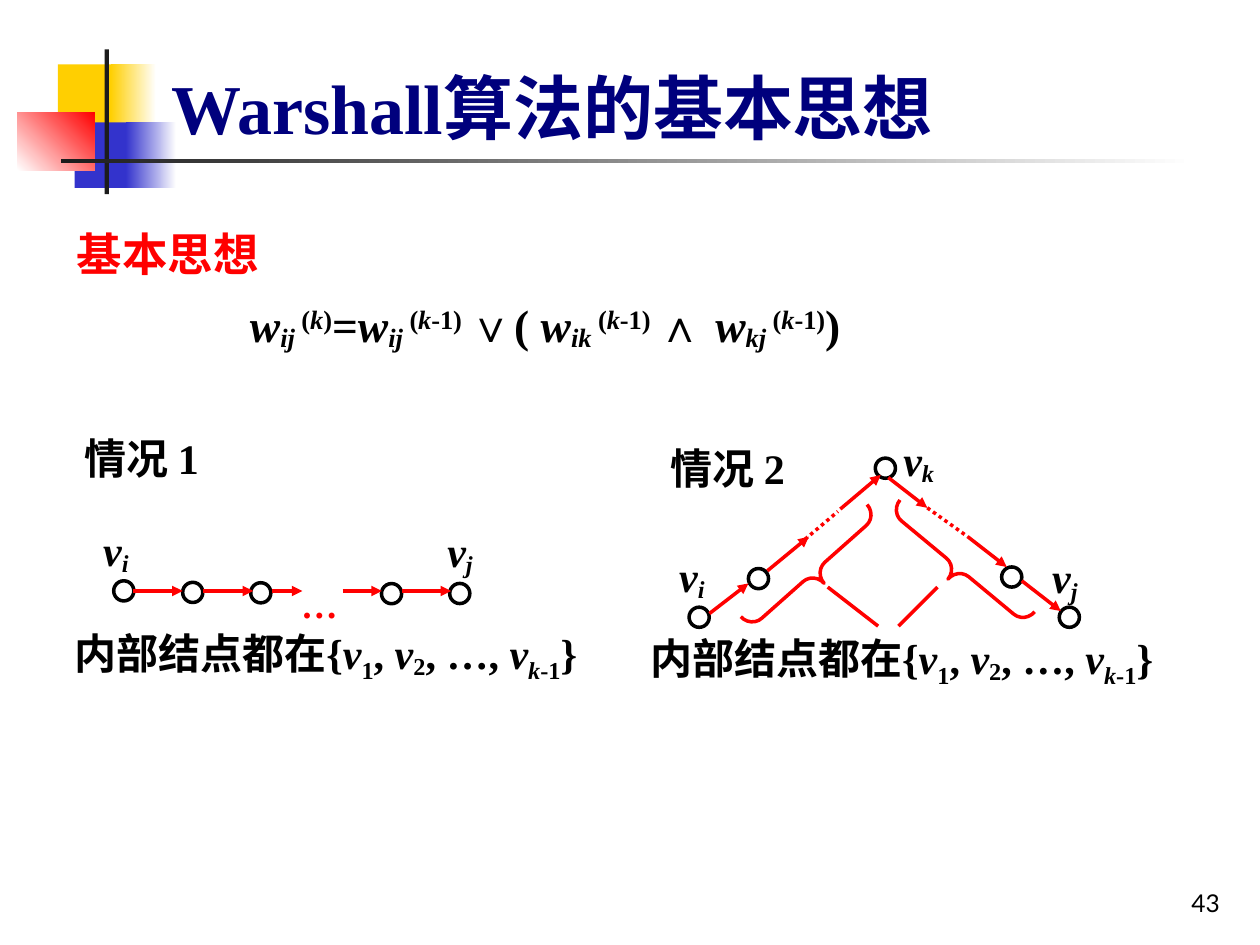
from dataclasses import dataclass
from typing import Optional

import pptx
import pptx.util
from lxml import etree
from pptx.dml.color import RGBColor
from pptx.enum.dml import MSO_LINE
from pptx.enum.shapes import MSO_CONNECTOR, MSO_SHAPE
from pptx.enum.text import MSO_ANCHOR, MSO_AUTO_SIZE, PP_ALIGN
from pptx.oxml.ns import qn

Pt = pptx.util.Pt
COLORS = {"black": "000000", "red": "FF0000", "navy": "00007D", "yellow": "FFCF01",
          "blue": "3333CC", "white": "FFFFFF", "dark": "1C1C1C"}
SERIF = "Times New Roman"


def rgb(name: str) -> RGBColor:
    return RGBColor.from_string(COLORS[name])


@dataclass
class Block:
    """A decorative rectangle; a second colour makes it a gradient."""
    left: float
    top: float
    width: float
    height: float
    color: str
    end_color: Optional[str] = None
    angle: float = 0


@dataclass
class Line:
    x1: float
    y1: float
    x2: float
    y2: float
    arrow: bool = True
    dotted: bool = False


@dataclass
class Piece:
    """A stretch of text with its own slant, baseline shift or font."""
    text: str
    italic: bool = False
    baseline: int = 0
    font: Optional[str] = None


@dataclass
class Label:
    left: float
    top: float
    width: float
    height: float
    pieces: list[Piece]
    size: float = 24
    color: str = "black"


def draw_block(slide, block: Block) -> None:
    shape = slide.shapes.add_shape(MSO_SHAPE.RECTANGLE, Pt(block.left), Pt(block.top),
                                   Pt(block.width), Pt(block.height))
    shape.shadow.inherit = False
    shape.line.fill.background()
    if block.end_color is None:
        shape.fill.solid()
        shape.fill.fore_color.rgb = rgb(block.color)
        return
    shape.fill.gradient()
    shape.fill.gradient_angle = block.angle
    for stop, color in zip(shape.fill.gradient_stops, (block.color, block.end_color)):
        stop.color.rgb = rgb(color)


def draw_outline(slide, kind, left: float, top: float, width: float, height: float,
                 color: str):
    shape = slide.shapes.add_shape(kind, Pt(left), Pt(top), Pt(width), Pt(height))
    shape.shadow.inherit = False
    shape.fill.background()
    shape.line.color.rgb = rgb(color)
    shape.line.width = Pt(2)
    return shape


def draw_line(slide, line: Line) -> None:
    connector = slide.shapes.add_connector(MSO_CONNECTOR.STRAIGHT, Pt(line.x1), Pt(line.y1),
                                           Pt(line.x2), Pt(line.y2))
    connector.line.color.rgb = rgb("red")
    connector.line.width = Pt(2)
    if line.dotted:
        connector.line.dash_style = MSO_LINE.ROUND_DOT
    if line.arrow:
        etree.SubElement(connector.line._get_or_add_ln(), qn("a:tailEnd"), type="triangle")
    etree.SubElement(connector._element.spPr, qn("a:effectLst"))


def set_font(paragraph, size: float, color: str, name: str = SERIF, bold: bool = True) -> None:
    paragraph.font.name = name
    paragraph.font.size = Pt(size)
    paragraph.font.bold = bold
    paragraph.font.color.rgb = rgb(color)


def add_pieces(paragraph, pieces: list[Piece]) -> None:
    for piece in pieces:
        run = paragraph.add_run()
        run.text = piece.text
        if piece.italic:
            run.font.italic = True
        if piece.font:
            run.font.name = piece.font
        if piece.baseline:
            run._r.get_or_add_rPr().set("baseline", str(piece.baseline * 1000))


def add_text_frame(slide, left: float, top: float, width: float, height: float):
    box = slide.shapes.add_textbox(Pt(left), Pt(top), Pt(width), Pt(height))
    box.text_frame.word_wrap = True
    return box.text_frame


def draw_label(slide, label: Label) -> None:
    frame = add_text_frame(slide, label.left, label.top, label.width, label.height)
    frame.margin_left, frame.margin_right = 0, Pt(18.7)
    set_font(frame.paragraphs[0], label.size, label.color)
    add_pieces(frame.paragraphs[0], label.pieces)


def vertex(index: str) -> list[Piece]:
    return [Piece("v", True), Piece(index, True, -15)]


def weight(index: str) -> list[Piece]:
    return [Piece("w", True), Piece(index + " ", True, -10), Piece("(", baseline=30),
            Piece("k", True, 30)]


PREVIOUS = Piece("-1) ", baseline=30)
FORMULA = [*weight("ij"), Piece(")", baseline=30), Piece("="),
           *weight("ij"), PREVIOUS, Piece("∨( "),
           *weight("ik"), PREVIOUS, Piece("∧ ", font="Arial"),
           *weight("kj"), Piece("-1)", baseline=30), Piece(")")]
INNER_NODES = [Piece("内部结点都在{"), Piece("v", True), Piece("1", baseline=-25), Piece(", "),
               Piece("v", True), Piece("2", baseline=-15), Piece(", …, "), Piece("v", True),
               Piece("k", True, -25), Piece("-1", baseline=-25), Piece("}")]

BLOCKS = [
    Block(33.1, 36.8, 34.5, 37.4, "yellow"),
    Block(63.2, 36.8, 26, 37.4, "yellow", "white"),
    Block(42.6, 70, 33, 37.4, "blue"),
    Block(72, 70, 28.8, 37.4, "blue", "white"),
    Block(10, 64, 44, 33.2, "white", "red", 45),
    Block(59.8, 28.2, 2.4, 82.8, "dark"),
    Block(34.6, 90.7, 648, 2.2, "dark", "white"),
]
NODE_SIZE = 11.5
NODES = [(65, 331.9), (104.4, 332.8), (143.3, 333), (218, 333.5), (257, 333.4),  # case 1
         (393.8, 347), (427.7, 324.9), (572.4, 324), (605.3, 347), (500.2, 261.8)]  # case 2
CHAIN_Y = 337.7
CHAIN = [(76.3, 104.4), (116, 144.7), (155.5, 172.8), (195.8, 218.2), (229.7, 257.8)]
LINES = [Line(start, CHAIN_Y, end, CHAIN_Y) for start, end in CHAIN] + [
    Line(405.4, 350.6, 427.7, 333.4),
    Line(438.5, 326.2, 462.2, 306.7),
    Line(460, 308.2, 478.8, 292.3, arrow=False, dotted=True),
    Line(480.2, 290.9, 503.3, 271.4),
    Line(507.6, 272.9, 529.9, 290.2),
    Line(529.9, 290.2, 553, 306.7, arrow=False, dotted=True),
    Line(553, 306.7, 575.3, 324),
    Line(583.9, 331.9, 606.2, 349.2),
    Line(473, 335.5, 501.8, 357.8, arrow=False),
    Line(535.7, 335.5, 513.4, 357.8, arrow=False),
]
BRACES = [(MSO_SHAPE.RIGHT_BRACE, 456.5, 278.6, 96.5, 48.4),
          (MSO_SHAPE.LEFT_BRACE, 538.6, 274.3, 100, 309.7)]
LABELS = [
    Label(48.2, 243.4, 158.4, 36, [Piece("情况 1")]),
    Label(383, 249.1, 90, 36, [Piece("情况 2")]),
    Label(172.1, 304.6, 33.8, 56.9, [Piece("…", baseline=-25)], 36, "red"),
    Label(59, 295.9, 45.4, 37.4, vertex("i")),
    Label(255.6, 296.6, 45.4, 37.4, vertex("j")),
    Label(388.1, 311, 45.4, 37.4, vertex("i")),
    Label(601.2, 311.8, 42.5, 37.4, vertex("j")),
    Label(516.2, 244.8, 42.5, 37.4, vertex("k")),
    Label(42.5, 355, 311.8, 40.3, INNER_NODES),
    Label(371.5, 357.8, 317.5, 40.3, INNER_NODES),
]


def main() -> None:
    presentation = pptx.Presentation()
    presentation.slide_width, presentation.slide_height = Pt(720), Pt(540)
    slide = presentation.slides.add_slide(presentation.slide_layouts[5])

    # Corner decoration
    for block in BLOCKS:
        draw_block(slide, block)

    # Title
    title = slide.shapes.title
    title.left, title.top, title.width, title.height = Pt(90.7), Pt(28.1), Pt(613.4), Pt(60.5)
    title.text_frame.text = "Warshall算法的基本思想"
    title.text_frame.vertical_anchor = MSO_ANCHOR.BOTTOM
    title.text_frame.auto_size = MSO_AUTO_SIZE.NONE
    paragraph = title.text_frame.paragraphs[0]
    paragraph.alignment = PP_ALIGN.LEFT
    set_font(paragraph, 40, "navy")

    # Heading and recurrence
    frame = add_text_frame(slide, 36.7, 122.4, 657.4, 107.3)
    heading, formula = frame.paragraphs[0], frame.add_paragraph()
    formula._p.get_or_add_pPr().set("marL", str(Pt(99)))
    formula.space_before = Pt(6.5)
    for paragraph, color in ((heading, "red"), (formula, "black")):
        paragraph.line_spacing = 1.1
        set_font(paragraph, 26, color)
    add_pieces(heading, [Piece("基本思想")])
    add_pieces(formula, FORMULA)

    # Path diagrams
    for left, top in NODES:
        draw_outline(slide, MSO_SHAPE.OVAL, left, top, NODE_SIZE, NODE_SIZE, "black")
    for line in LINES:
        draw_line(slide, line)
    for kind, left, top, height, rotation in BRACES:
        brace = draw_outline(slide, kind, left, top, 17.3, height, "red")
        brace.rotation = rotation
        brace.adjustments[0] = 0.48
    for label in LABELS:
        draw_label(slide, label)

    # Slide number
    frame = add_text_frame(slide, 554.4, 491.8, 149.8, 36)
    frame.vertical_anchor = MSO_ANCHOR.BOTTOM
    number = frame.paragraphs[0]
    number.alignment = PP_ALIGN.RIGHT
    set_font(number, 14, "black", "Lato", False)
    add_pieces(number, [Piece("43")])

    presentation.save("out.pptx")


if __name__ == "__main__":
    main()
